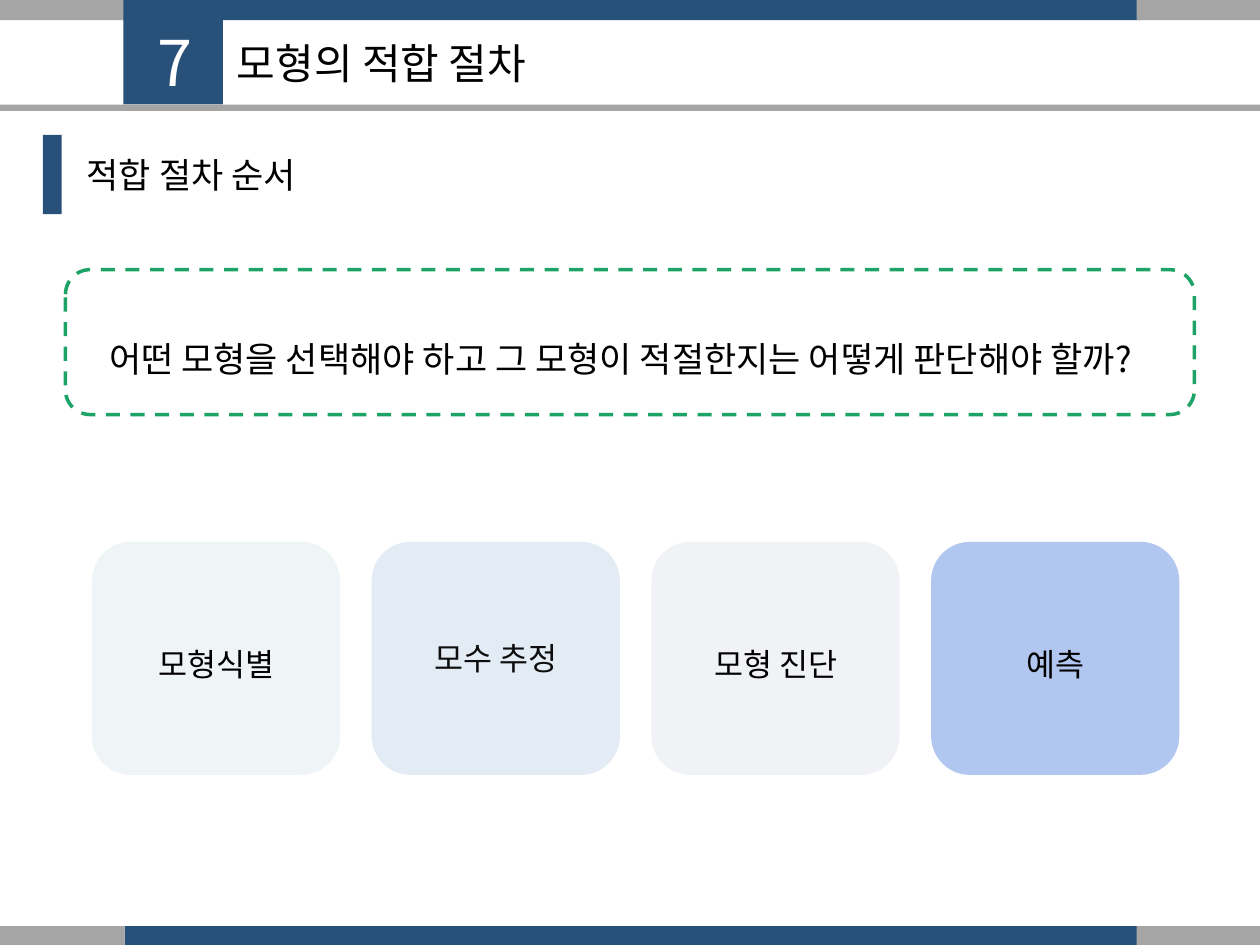
from lxml.etree import SubElement
from pptx import Presentation
from pptx.dml.color import RGBColor
from pptx.enum.dml import MSO_LINE
from pptx.enum.shapes import MSO_SHAPE
from pptx.enum.text import MSO_ANCHOR, MSO_AUTO_SIZE, PP_ALIGN
from pptx.oxml.ns import qn
from pptx.util import Inches, Pt

FONT = "Noto Sans CJK KR"
COLORS = {
    "navy": "28517A",
    "gray": "A5A5A5",
    "green": "1DA366",
    "black": "000000",
    "ink": "0D0D0D",
    "white": "FFFFFF",
}
CARDS = [
    ("모형식별", "EFF4F7"),
    ("모수 추정", "E3EBF5"),
    ("모형 진단", "F0F2F6"),
    ("예측", "B2C7F0"),
]
CARD_LEFT, CARD_TOP, CARD_STEP = 0.73, 4.3, 2.22
CARD_WIDTH, CARD_HEIGHT = 1.97, 1.85


def rgb(color):
    return RGBColor.from_string(COLORS.get(color, color))


def write(tf, text, size, color="black", align=PP_ALIGN.LEFT,
          anchor=MSO_ANCHOR.TOP, spacing=None):
    tf.text = text
    tf.word_wrap = True
    tf.auto_size = MSO_AUTO_SIZE.NONE
    tf.vertical_anchor = anchor
    p = tf.paragraphs[0]
    p.alignment = align
    p.line_spacing = spacing
    r = p.runs[0]
    r.font.size = Pt(size)
    r.font.name = FONT
    r.font.color.rgb = rgb(color)
    SubElement(r.font._element, qn("a:ea"), typeface=FONT)


def add_block(s, box, color, kind=MSO_SHAPE.RECTANGLE):
    sp = s.shapes.add_shape(kind, *map(Inches, box))
    sp.shadow.inherit = False
    sp.line.fill.background()
    if color:
        sp.fill.solid()
        sp.fill.fore_color.rgb = rgb(color)
    else:
        sp.fill.background()
    return sp


def add_text(s, box, text, size, **style):
    sp = s.shapes.add_textbox(*map(Inches, box))
    write(sp.text_frame, text, size, **style)


def add_title(s, box, text):
    title = s.shapes.title
    title.left, title.top, title.width, title.height = map(Inches, box)
    write(title.text_frame, text, 24, anchor=MSO_ANCHOR.MIDDLE)


def add_frame(s):
    for top in (0, 7.35):
        add_block(s, (0.99, top, 8.06, 0.16), "navy")
        add_block(s, (0, top, 0.99, 0.16), "gray")
        add_block(s, (9.02, top, 0.98, 0.16), "gray")
    add_block(s, (0.98, 0, 0.79, 0.83), "navy")
    add_block(s, (-0.02, 0.83, 10.02, 0.05), "gray")
    add_block(s, (0.34, 1.07, 0.15, 0.63), "navy")


def add_question(s, text):
    sp = add_block(s, (0.52, 2.14, 8.96, 1.15), None,
                   MSO_SHAPE.ROUNDED_RECTANGULAR_CALLOUT)
    for i, value in enumerate((0.5, 0.28, 0.17)):
        sp.adjustments[i] = value
    sp.line.color.rgb = rgb("green")
    sp.line.width = Pt(2)
    sp.line.dash_style = MSO_LINE.DASH
    add_text(s, (0.59, 2.46, 8.67, 0.56), text, 20,
             align=PP_ALIGN.CENTER, spacing=1.5)


def add_card(s, index, label, color):
    left = CARD_LEFT + index * CARD_STEP
    sp = add_block(s, (left, CARD_TOP, CARD_WIDTH, CARD_HEIGHT), color,
                   MSO_SHAPE.ROUNDED_RECTANGLE)
    if index == 1:
        write(sp.text_frame, label, 18, color="ink",
              align=PP_ALIGN.CENTER, anchor=MSO_ANCHOR.MIDDLE)
    else:
        add_text(s, (left + 0.15, 4.92, 1.67, 0.51), label, 18,
                 align=PP_ALIGN.CENTER, spacing=1.5)


def main():
    prs = Presentation()
    prs.slide_width, prs.slide_height = Inches(10), Inches(7.5)
    s = prs.slides.add_slide(prs.slide_layouts[5])
    add_frame(s)
    add_title(s, (1.78, 0.14, 6.28, 0.72), "모형의 적합 절차")
    add_text(s, (1.15, 0.14, 0.45, 0.62), "7", 36, color="white")
    add_text(s, (0.59, 1.17, 4.28, 0.45), "적합 절차 순서", 20)
    add_question(s, "어떤 모형을 선택해야 하고 그 모형이 적절한지는 어떻게 판단해야 할까?")
    for i, (label, color) in enumerate(CARDS):
        add_card(s, i, label, color)
    prs.save("out.pptx")


if __name__ == "__main__":
    main()
